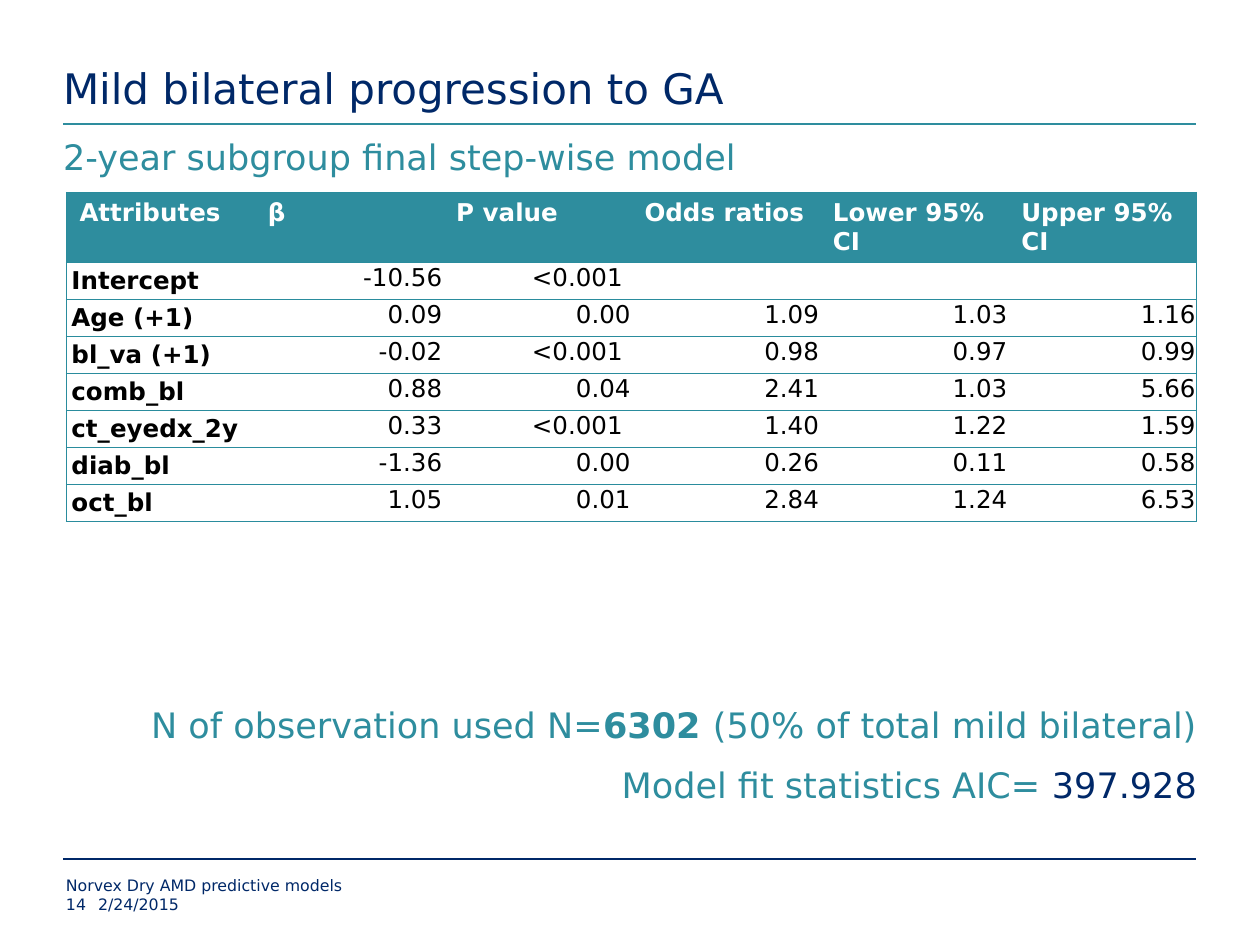
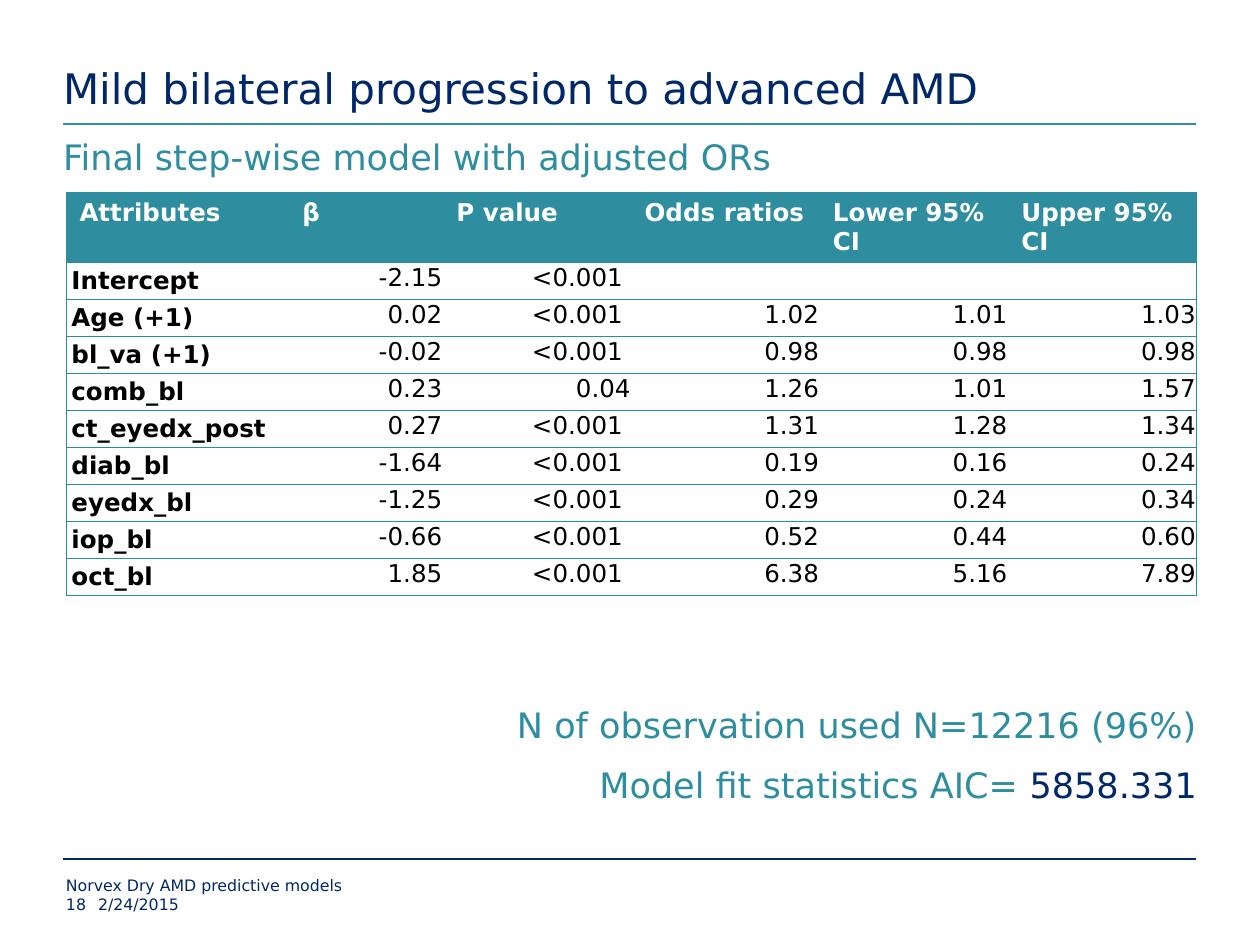
from pptx import Presentation
from pptx.dml.color import RGBColor
from pptx.enum.shapes import MSO_CONNECTOR
from pptx.enum.text import MSO_ANCHOR, MSO_AUTO_SIZE, PP_ALIGN
from pptx.oxml import parse_xml
from pptx.oxml.ns import nsdecls, qn
from pptx.util import Pt
from lxml.etree import SubElement

PX = 914400 / 126  # one pixel in EMU
FONT = "DejaVu Sans"
INK = {"navy": "002868", "teal": "2E8D9E", "rule": "2A8C9D",
       "white": "FFFFFF", "black": "000000"}
NO_GRID = "{2D5ABB26-0587-4C30-8999-92F81FD0307C}"

# Text formats: size, colour, bold and paragraph settings
TITLE = {"size": 24, "ink": "navy"}
LEAD = {"size": 20, "ink": "teal", "para": {"space_before": Pt(10)}}
STATS = {"size": 20, "ink": "teal",
         "para": {"space_before": Pt(10), "alignment": PP_ALIGN.RIGHT}}
FOOT = {"size": 9, "ink": "navy"}
HEAD = {"size": 14, "ink": "white", "bold": True}
NAME = {"size": 14, "ink": "black", "bold": True,
        "para": {"space_before": Pt(3), "space_after": Pt(3), "line_spacing": 1.15}}
VALUE = {"size": 14, "ink": "black", "para": {"alignment": PP_ALIGN.RIGHT}}

# Cell margins in pixels: left, top, right, bottom
SIDES = ["left", "top", "right", "bottom"]
PADS = {"head": [13, 6, 13, 6], "name": [5, 0, 5, 0], "value": [1, 1, 1, 0]}

HEADS = ["Attributes", "β", "P value", "Odds ratios", "Lower 95% CI", "Upper 95% CI"]
LOW = "<0.001 "

SLIDES = [
    {"title": "Mild bilateral progression to GA", "page": "14",
     "lead": "2-year subgroup final step-wise model",
     "cols": [188.4] * 6,
     "rows": [
         ["Intercept", "-10.56", LOW, "", "", ""],
         ["Age (+1)", "0.09", "0.00", "1.09", "1.03", "1.16"],
         ["bl_va (+1)", "-0.02", LOW, "0.98", "0.97", "0.99"],
         ["comb_bl", "0.88", "0.04", "2.41", "1.03", "5.66"],
         ["ct_eyedx_2y", "0.33", LOW, "1.40", "1.22", "1.59"],
         ["diab_bl", "-1.36", "0.00", "0.26", "0.11", "0.58"],
         ["oct_bl", "1.05", "0.01", "2.84", "1.24", "6.53"]],
     "stats": [[("N of observation used N=", {}), ("6302 ", {"bold": True}),
                ("(50% of total mild bilateral)", {})],
               [("Model fit statistics AIC=", {}), (" 397.928", {"ink": "navy"})]]},
    {"title": "Mild bilateral progression to advanced AMD", "page": "18",
     "lead": "Final step-wise model with adjusted ORs",
     "cols": [223, 153.8] + [188.4] * 4,
     "rows": [
         ["Intercept", "-2.15", LOW, "", "", ""],
         ["Age (+1)", "0.02", LOW, "1.02", "1.01", "1.03"],
         ["bl_va (+1)", "-0.02", LOW, "0.98", "0.98", "0.98"],
         ["comb_bl", "0.23", "0.04", "1.26", "1.01", "1.57"],
         ["ct_eyedx_post", "0.27", LOW, "1.31", "1.28", "1.34"],
         ["diab_bl", "-1.64", LOW, "0.19", "0.16", "0.24"],
         ["eyedx_bl", "-1.25", LOW, "0.29", "0.24", "0.34"],
         ["iop_bl", "-0.66", LOW, "0.52", "0.44", "0.60"],
         ["oct_bl", "1.85", LOW, "6.38", "5.16", "7.89"]],
     "stats": [[("N of observation used N=12216 (96%)", {})],
               [("Model fit statistics AIC=", {}), (" 5858.331", {"ink": "navy"})]]},
]


def write(frame, lines, style):
    """Fill a text frame; each line is a list of (text, changes) runs."""
    for i, line in enumerate(lines):
        para = frame.paragraphs[0] if i == 0 else frame.add_paragraph()
        for key, value in style.get("para", {}).items():
            setattr(para, key, value)
        for text, change in line:
            look = {**style, **change}
            run = para.add_run()
            run.text = text
            form = {"name": FONT, "size": Pt(look["size"]), "bold": look.get("bold", False)}
            for key, value in form.items():
                setattr(run.font, key, value)
            run.font.color.rgb = RGBColor.from_string(INK[look["ink"]])


def place(shape, box, lines, style, anchor=MSO_ANCHOR.TOP):
    """Move a text shape to a pixel box, clear its margins and write in it."""
    for key, value in zip(["left", "top", "width", "height"], box):
        setattr(shape, key, round(value * PX))
    frame = shape.text_frame
    form = {"word_wrap": True, "auto_size": MSO_AUTO_SIZE.NONE, "vertical_anchor": anchor,
            **{f"margin_{side}": 0 for side in SIDES}}
    for key, value in form.items():
        setattr(frame, key, value)
    write(frame, lines, style)


deck = Presentation()
deck.slide_width, deck.slide_height = round(1260 * PX), round(945 * PX)

for data in SLIDES:
    slide = deck.slides.add_slide(deck.slide_layouts[1])
    shapes = slide.shapes

    # Rules under the title and above the footer
    for y, ink in [(124, "teal"), (859, "navy")]:
        ends = [round(v * PX) for v in (63, y, 1196, y)]
        rule = shapes.add_connector(MSO_CONNECTOR.STRAIGHT, *ends)
        rule.line.width = Pt(1.5)
        rule.line.color.rgb = RGBColor.from_string(INK[ink])
        SubElement(rule._element.spPr, qn("a:effectLst"))

    # Title and lead line
    place(shapes.title, (63, 0, 1134, 113), [[(data["title"], {})]], TITLE, MSO_ANCHOR.BOTTOM)
    shapes.title.text_frame.paragraphs[0].alignment = PP_ALIGN.LEFT
    lead = slide.placeholders[1]
    place(lead, (63, 135, 1134, 62), [[(data["lead"], {})]], LEAD)
    props = lead.text_frame.paragraphs[0]._p.get_or_add_pPr()
    for key in ("marL", "indent"):
        props.set(key, "0")
    SubElement(props, qn("a:buNone"))

    # Footer
    for text, box in [("Norvex Dry AMD predictive models", (66, 876, 945, 19)),
                      (data["page"], (66, 895, 32, 19)),
                      ("2/24/2015", (98, 895, 914, 19))]:
        place(shapes.add_textbox(0, 0, 0, 0), box, [[(text, {})]], FOOT)

    # Table
    rows = [HEADS] + data["rows"]
    highs = [70] + [37] * len(data["rows"])
    area = [round(v * PX) for v in (66.5, 192.5, sum(data["cols"]), sum(highs))]
    table = shapes.add_table(len(rows), len(HEADS), *area).table
    table._tbl.tblPr.find(qn("a:tableStyleId")).text = NO_GRID
    for col, wide in zip(table.columns, data["cols"]):
        col.width = round(wide * PX)
    for row, high in zip(table.rows, highs):
        row.height = round(high * PX)

    for r, row in enumerate(rows):
        for c, text in enumerate(row):
            cell = table.cell(r, c)
            kind, style = (("head", HEAD) if r == 0 else
                           ("name", NAME) if c == 0 else ("value", VALUE))
            for side, pad in zip(SIDES, PADS[kind]):
                setattr(cell, f"margin_{side}", round(pad * PX))
            if text:
                write(cell.text_frame, [[(text, {})]], style)
            else:
                end = cell.text_frame.paragraphs[0]._p.get_or_add_endParaRPr()
                end.set("sz", "1400")

            # Borders: outer sides, and every row edge
            edges = ["L"] * (c == 0) + ["R"] * (c == len(row) - 1) + ["T", "B"]
            for edge in edges:
                cell._tc.get_or_add_tcPr().append(parse_xml(
                    f'<a:ln{edge} {nsdecls("a")} w="{Pt(0.75)}"><a:solidFill>'
                    f'<a:srgbClr val="{INK["rule"]}"/></a:solidFill></a:ln{edge}>'))
            if r == 0:
                cell.fill.solid()
                cell.fill.fore_color.rgb = RGBColor.from_string(INK["teal"])
            else:
                cell.fill.background()

    # Model statistics
    place(shapes.add_textbox(0, 0, 0, 0), (63, 704, 1134, 123), data["stats"], STATS)

deck.save("out.pptx")
